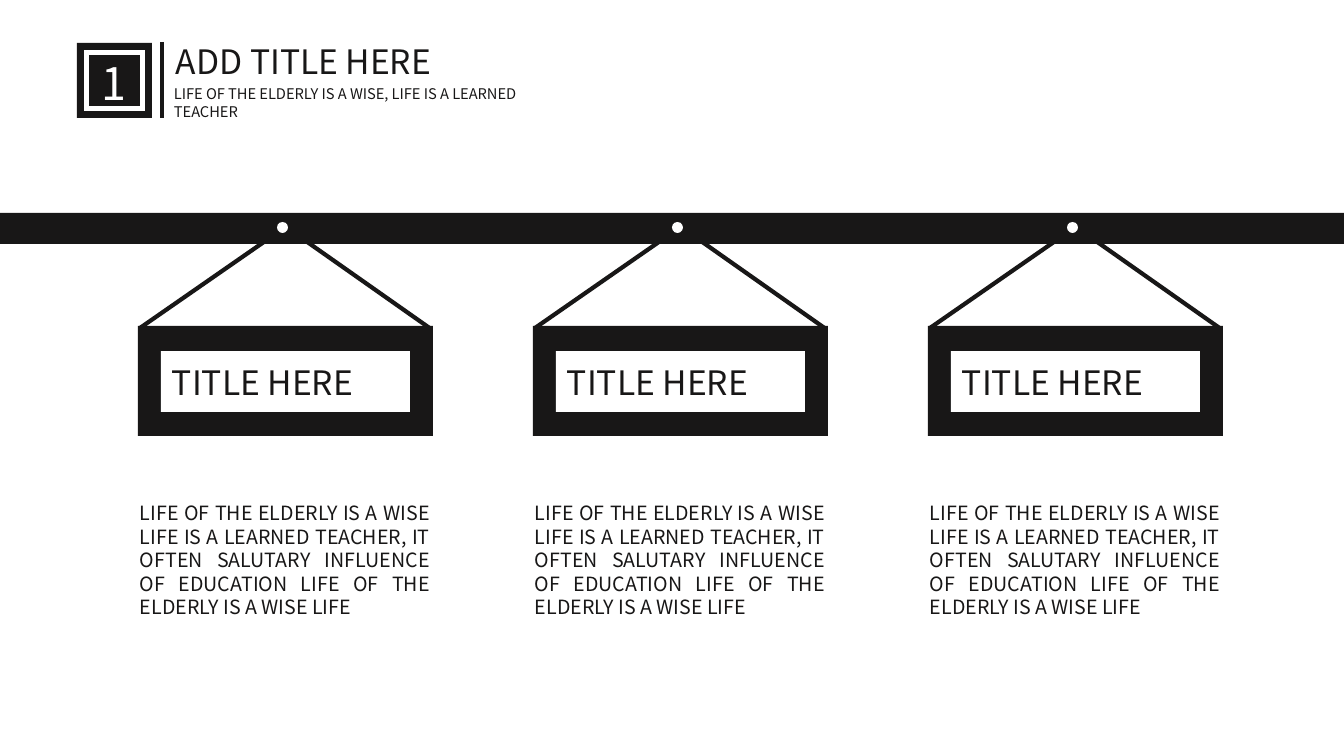
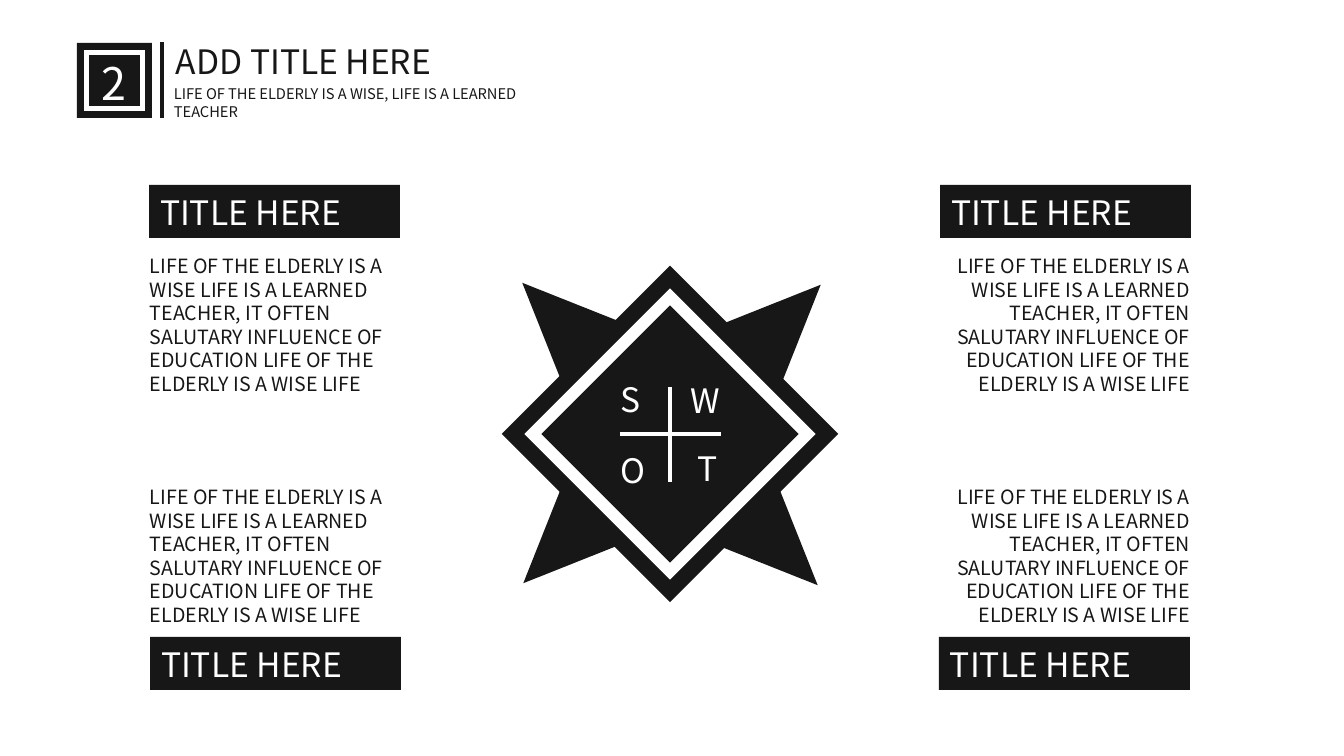
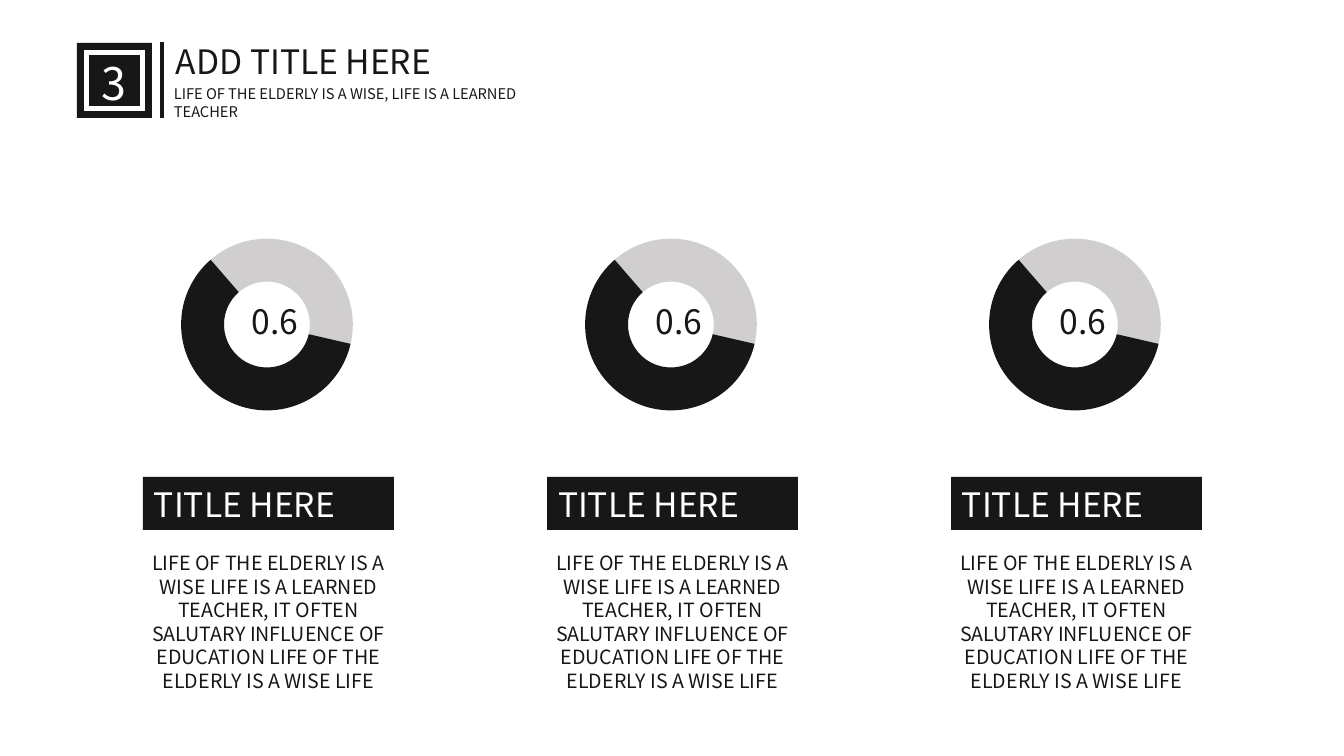
"""Build three black-and-white slides: hanging signs, a SWOT star and ring charts."""
from dataclasses import dataclass
from typing import NamedTuple

import lxml.etree
import pptx
import pptx.chart.data
import pptx.dml.color
import pptx.enum.chart
import pptx.enum.shapes
import pptx.enum.text
import pptx.oxml.ns
import pptx.shapes.autoshape
import pptx.slide
import pptx.text.text
import pptx.util

SHAPE = pptx.enum.shapes.MSO_SHAPE
ALIGN = pptx.enum.text.PP_ALIGN
RGB = pptx.dml.color.RGBColor
qn = pptx.oxml.ns.qn
WIDE, HIGH = 1344, 756
SCALE = 12192000 / WIDE


@dataclass(frozen=True)
class Theme:
    ink: RGB = RGB(0x18, 0x17, 0x17)
    pale: RGB = RGB(0xD0, 0xCE, 0xCE)
    white: RGB = RGB(0xFF, 0xFF, 0xFF)
    font: str = "Noto Sans CJK SC"
    badge: float = 32
    head: float = 24
    body: float = 14
    note: float = 10.5
    rope: float = 3
    rule: float = 2.25
    blur: float = 12.5


class Box(NamedTuple):
    x: int
    y: int
    w: int
    h: int


class Corner(NamedTuple):
    bar_x: int
    bar_y: int
    text_x: int
    text_y: int
    align: ALIGN


class Spike(NamedTuple):
    x: int
    y: int
    turn: int


class Mark(NamedTuple):
    letter: str
    x: int
    y: int


THEME = Theme()
TITLE = "ADD TITLE HERE"
NOTE = "LIFE OF THE ELDERLY IS A WISE, LIFE IS A LEARNED TEACHER"
LABEL = "TITLE HERE"
BODY = ("LIFE OF THE ELDERLY IS A WISE LIFE IS A LEARNED TEACHER, "
        "IT OFTEN SALUTARY INFLUENCE OF EDUCATION LIFE OF THE ELDERLY IS A WISE LIFE")
BAR_W, BAR_H = 251, 53
CORNERS = (
    Corner(940, 185, 916, 249, ALIGN.RIGHT),
    Corner(939, 637, 916, 480, ALIGN.RIGHT),
    Corner(149, 185, 140, 249, ALIGN.LEFT),
    Corner(150, 637, 140, 480, ALIGN.LEFT),
)
SPIKES = (Spike(747, 271, 45), Spike(744, 505, 135),
          Spike(516, 503, 225), Spike(515, 269, 315))
MARKS = (Mark("W", 681, 375), Mark("T", 688, 443),
         Mark("S", 611, 374), Mark("O", 611, 445))


def px(size: float) -> int:
    return round(size * SCALE)


def emu(box: Box) -> list[int]:
    return [px(side) for side in box]


def shape(slide: pptx.slide.Slide, box: Box, fill: RGB, kind: SHAPE = SHAPE.RECTANGLE,
          turn: int = 0) -> pptx.shapes.autoshape.Shape:
    item = slide.shapes.add_shape(kind, *emu(box))
    item.shadow.inherit = False
    item.fill.solid()
    item.fill.fore_color.rgb = fill
    item.line.fill.background()
    item.rotation = turn
    return item


def line(slide: pptx.slide.Slide, x1: int, y1: int, x2: int, y2: int,
         color: RGB, width: float) -> None:
    item = slide.shapes.add_connector(pptx.enum.shapes.MSO_CONNECTOR.STRAIGHT,
                                      px(x1), px(y1), px(x2), px(y2))
    item.line.color.rgb = color
    item.line.width = pptx.util.Pt(width)
    lxml.etree.SubElement(item.line._get_or_add_ln().getparent(), qn("a:effectLst"))


def write(frame: pptx.text.text.TextFrame, words: str, size: float, color: RGB,
          align: ALIGN = ALIGN.LEFT) -> None:
    frame.word_wrap = True
    frame.vertical_anchor = pptx.enum.text.MSO_ANCHOR.TOP
    para = frame.paragraphs[0]
    para.text = words
    para.alignment = align
    para.font.name = THEME.font
    para.font.size = pptx.util.Pt(size)
    para.font.color.rgb = color


def text(slide: pptx.slide.Slide, box: Box, words: str, size: float, color: RGB,
         align: ALIGN = ALIGN.LEFT) -> None:
    write(slide.shapes.add_textbox(*emu(box)).text_frame, words, size, color, align)


def panel(slide: pptx.slide.Slide, box: Box, fill: RGB, color: RGB, inset: int) -> None:
    frame = shape(slide, box, fill).text_frame
    frame.margin_left, frame.margin_top = px(11), px(inset)
    write(frame, LABEL, THEME.head, color)


def bar(slide: pptx.slide.Slide, x: int, y: int) -> None:
    panel(slide, Box(x, y, BAR_W, BAR_H), THEME.ink, THEME.white, 7)


def header(slide: pptx.slide.Slide, number: int) -> None:
    shape(slide, Box(77, 43, 75, 75), THEME.ink)
    shape(slide, Box(84, 50, 61, 61), THEME.white)
    shape(slide, Box(89, 55, 51, 51), THEME.ink)
    text(slide, Box(85, 51, 57, 64), str(number), THEME.badge, THEME.white, ALIGN.CENTER)
    text(slide, Box(166, 36, 344, 50), TITLE, THEME.head, THEME.ink)
    text(slide, Box(164, 80, 400, 45), NOTE, THEME.note, THEME.ink)
    line(slide, 162, 42, 162, 118, THEME.ink, THEME.rule)


def sign(slide: pptx.slide.Slide, x: int) -> None:
    shade = shape(slide, Box(x - 6, 419, 306, 37), THEME.ink)
    effect = shade.element.spPr.find(qn("a:effectLst"))
    lxml.etree.SubElement(effect, qn("a:softEdge"),
                          rad=str(int(pptx.util.Pt(THEME.blur))))
    shape(slide, Box(x, 326, 295, 110), THEME.ink)
    line(slide, x + 2, 328, x + 149, 226, THEME.ink, THEME.rope)
    line(slide, x + 293, 329, x + 148, 227, THEME.ink, THEME.rope)
    shape(slide, Box(x + 139, 222, 11, 11), THEME.white, SHAPE.OVAL)
    panel(slide, Box(x + 23, 351, 249, 61), THEME.white, THEME.ink, 11)
    text(slide, Box(x - 8, 496, 310, 152), BODY, THEME.body, THEME.ink, ALIGN.JUSTIFY)


def place(parent: lxml.etree._Element, spot: int, **parts: str | float) -> None:
    layout = lxml.etree.Element(qn("c:layout"))
    manual = lxml.etree.SubElement(layout, qn("c:manualLayout"))
    for name, value in parts.items():
        lxml.etree.SubElement(manual, qn(f"c:{name}"), val=str(value))
    for old in parent.findall(qn("c:layout")):
        parent.remove(old)
    parent.insert(spot, layout)


def ring(slide: pptx.slide.Slide, x: int) -> None:
    data = pptx.chart.data.CategoryChartData()
    data.categories = ["1", "2"]
    data.add_series("Series 1", (0.4, 0.6))
    chart = slide.shapes.add_chart(pptx.enum.chart.XL_CHART_TYPE.DOUGHNUT,
                                   *emu(Box(x, 225, 344, 229)), data).chart
    chart.has_legend = False
    chart.has_title = False
    chart.font.name = THEME.font
    chart.font.size = pptx.util.Pt(10)
    plot = chart.plots[0]
    plot.vary_by_categories = True
    series = plot.series[0]
    for spot, color in enumerate((THEME.pale, THEME.ink)):
        form = series.points[spot].format
        form.fill.solid()
        form.fill.fore_color.rgb = color
        form.line.fill.background()
    series.data_labels.show_value = False
    font = series.points[1].data_label.font
    font.name = THEME.font
    font.size = pptx.util.Pt(THEME.head)
    font.color.rgb = THEME.ink
    root = chart.element
    for labels in root.xpath(".//c:ser/c:dLbls"):
        if labels.find(qn("c:showLeaderLines")) is None:
            lxml.etree.SubElement(labels, qn("c:showLeaderLines"))
    for leader in root.xpath(".//c:showLeaderLines"):
        leader.set("val", "0")
    for tag, value in (("firstSliceAng", 319), ("holeSize", 75)):
        root.xpath(f".//c:{tag}")[0].set("val", str(value))
    place(root.xpath(".//c:dLbl")[0], 1, x=0.12, y=-0.26)
    place(root.xpath(".//c:plotArea")[0], 0, layoutTarget="inner", xMode="edge",
          yMode="edge", x=0.25, y=0.06, w=0.5, h=0.75)


def signs(slide: pptx.slide.Slide) -> None:
    shape(slide, Box(0, 213, WIDE, 31), THEME.ink)
    for step in range(3):
        sign(slide, 138 + 395 * step)


def swot(slide: pptx.slide.Slide) -> None:
    mid_x, mid_y = 670, 434
    for size, color in ((238, THEME.ink), (206, THEME.white), (182, THEME.ink)):
        half = size // 2
        shape(slide, Box(mid_x - half, mid_y - half, size, size), color, turn=45)
    line(slide, mid_x - 50, mid_y, mid_x + 51, mid_y, THEME.white, THEME.rule)
    line(slide, mid_x, mid_y - 47, mid_x, mid_y + 48, THEME.white, THEME.rule)
    for mark in MARKS:
        text(slide, Box(mark.x, mark.y, 58, 50), mark.letter, THEME.head, THEME.white)
    for spike in SPIKES:
        shape(slide, Box(spike.x, spike.y, 81, 94), THEME.ink,
              SHAPE.ISOSCELES_TRIANGLE, spike.turn)
    for corner in CORNERS:
        text(slide, Box(corner.text_x, corner.text_y, 284, 152), BODY,
             THEME.body, THEME.ink, corner.align)
        bar(slide, corner.bar_x, corner.bar_y)


def rings(slide: pptx.slide.Slide) -> None:
    for step in range(3):
        x = 143 + 404 * step
        ring(slide, x - 48)
        bar(slide, x, 477)
        text(slide, Box(x - 15, 546, 281, 152), BODY, THEME.body, THEME.ink, ALIGN.CENTER)


def main() -> None:
    deck = pptx.Presentation()
    deck.slide_width, deck.slide_height = px(WIDE), px(HIGH)
    for number, draw in enumerate((signs, swot, rings), 1):
        slide = deck.slides.add_slide(deck.slide_layouts[6])
        header(slide, number)
        draw(slide)
    deck.save("out.pptx")


if __name__ == "__main__":
    main()
